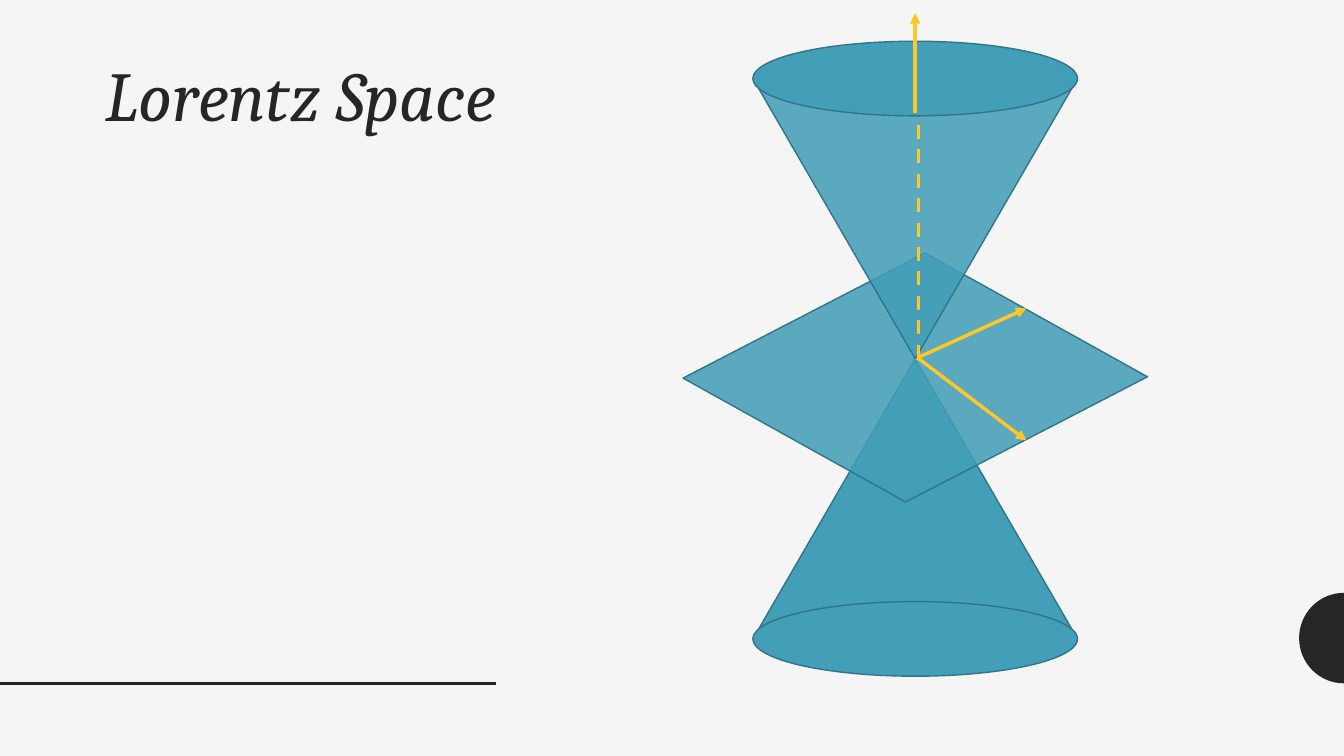
from collections import namedtuple
from math import cos, pi, sin

from lxml.etree import SubElement
from pptx import Presentation
from pptx.dml.color import RGBColor
from pptx.enum.dml import MSO_LINE as Dash
from pptx.enum.shapes import MSO_CONNECTOR as Connector, MSO_SHAPE as Shape
from pptx.enum.text import MSO_ANCHOR as Anchor, PP_ALIGN as Align
from pptx.oxml.ns import qn
from pptx.util import Cm, Pt

PAPER = RGBColor(0xF5, 0xF5, 0xF5)
INK = RGBColor(0x26, 0x26, 0x26)
TEAL = RGBColor(0x43, 0x9E, 0xB7)
DARK_TEAL = RGBColor(0x32, 0x75, 0x87)
YELLOW = RGBColor(0xFF, 0xC6, 0x2A)

Box = namedtuple("Box", "left top width height")


def add_text(page, box, text, size, color, font="Cambria", italic=False, align=Align.LEFT):
    """Write one paragraph of formatted text in the box."""
    frame = page.shapes.add_textbox(*map(Cm, box)).text_frame
    frame.word_wrap = True
    frame.vertical_anchor = Anchor.TOP
    frame.margin_top = 0
    para = frame.paragraphs[0]
    para.alignment = align
    para.line_spacing = 0.9
    span = para.add_run()
    span.text = text
    span.font.name = font
    span.font.size = Pt(size)
    span.font.italic = italic
    span.font.color.rgb = color


def add_line(page, start, end, color, width, arrow=False, dash=None):
    """Draw a straight line, with an arrowhead at its end if asked."""
    line = page.shapes.add_connector(Connector.STRAIGHT, *map(Cm, start + end))
    line.line.color.rgb = color
    line.line.width = Pt(width)
    if dash:
        line.line.dash_style = dash
    if arrow:
        SubElement(line.line._get_or_add_ln(), qn("a:tailEnd"), type="triangle")
    SubElement(line._element.spPr, qn("a:effectLst"))


def add_surface(page, kind, box, opacity=100, rotation=0):
    """Draw a teal outlined shape and return it."""
    surface = page.shapes.add_shape(kind, *map(Cm, box))
    surface.shadow.inherit = False
    surface.rotation = rotation
    surface.fill.solid()
    surface.fill.fore_color.rgb = TEAL
    surface.line.color.rgb = DARK_TEAL
    surface.line.width = Pt(1)
    if opacity < 100:
        color = surface._element.spPr.find(qn("a:solidFill"))[0]
        SubElement(color, qn("a:alpha"), val=str(opacity * 1000))
    return surface


def add_cone(page, box, opacity=100, inverted=False):
    """Draw a cone filling the box, with its elliptical rim centred on the base."""
    rim_height = 1.88
    base = box.top if inverted else box.top + box.height
    add_surface(page, Shape.ISOSCELES_TRIANGLE, box, opacity, 180 if inverted else 0)
    add_surface(page, Shape.OVAL, Box(box.left, base - rim_height / 2, box.width, rim_height))


def add_half_disc(page, box):
    """Draw the left half of a disc filling the box."""
    middle = box.top + box.height / 2
    steps = 32
    points = [
        (Cm(box.left + box.width * (1 - sin(pi * step / steps))),
         Cm(middle - box.height / 2 * cos(pi * step / steps)))
        for step in range(steps + 1)
    ]
    builder = page.shapes.build_freeform(*points[0], scale=1.0)
    builder.add_line_segments(points[1:], close=True)
    disc = builder.convert_to_shape()
    disc.shadow.inherit = False
    disc.fill.solid()
    disc.fill.fore_color.rgb = INK
    disc.line.fill.background()


def add_frame(page, box):
    """Set the background, the half disc, the rule and the title of the page."""
    page.background.fill.solid()
    page.background.fill.fore_color.rgb = PAPER
    right = box.left + box.width
    rule = box.top + 17.22
    add_half_disc(page, Box(right - 1.13, rule - 2.28, 1.13, 2.28))
    add_line(page, (box.left, rule), (box.left + 12.5, rule), INK, 2)
    add_text(page, Box(box.left + 2.11, box.top + 1.55, 10.64, 10.64), "Lorentz Space",
             size=50, color=INK, italic=True, align=Align.RIGHT)


def add_light_cones(page, box):
    """Draw both light cones, the plane between them and the three axes."""
    center = box.left + box.width / 2
    apex = box.top + box.height / 2
    cone_width, cone_height = 8.18, 7.06
    cone_left = center - cone_width / 2
    add_cone(page, Box(cone_left, apex, cone_width, cone_height))

    plane_box = Box(box.left, apex - 2.39, box.width, 5.72)
    plane = add_surface(page, Shape.PARALLELOGRAM, plane_box, 87, 209.1)
    plane.adjustments[0] = 0.663

    tip = center + 2.8
    add_line(page, (center, apex - 0.07), (tip, apex + 2.06), YELLOW, 2.5, arrow=True)
    add_line(page, (center, apex), (tip, apex - 1.27), YELLOW, 2.5, arrow=True)

    upper_box = Box(cone_left, apex - cone_height, cone_width, cone_height)
    add_cone(page, upper_box, opacity=87, inverted=True)

    inner = center + 0.08
    add_line(page, (inner, apex), (inner, apex - 6.12), YELLOW, 2.5, dash=Dash.DASH)
    add_line(page, (center, apex - 6.2), (center, apex - 8.71), YELLOW, 2.5, arrow=True)


def main():
    """Build the deck and save it."""
    deck = Presentation()
    deck.slide_width, deck.slide_height = Cm(33.87), Cm(19.05)
    page = deck.slides.add_slide(deck.slide_layouts[6])
    add_frame(page, Box(0, 0, 33.87, 19.05))
    add_light_cones(page, Box(17.96, 0.98, 10.21, 16.12))
    deck.save("out.pptx")


if __name__ == "__main__":
    main()
